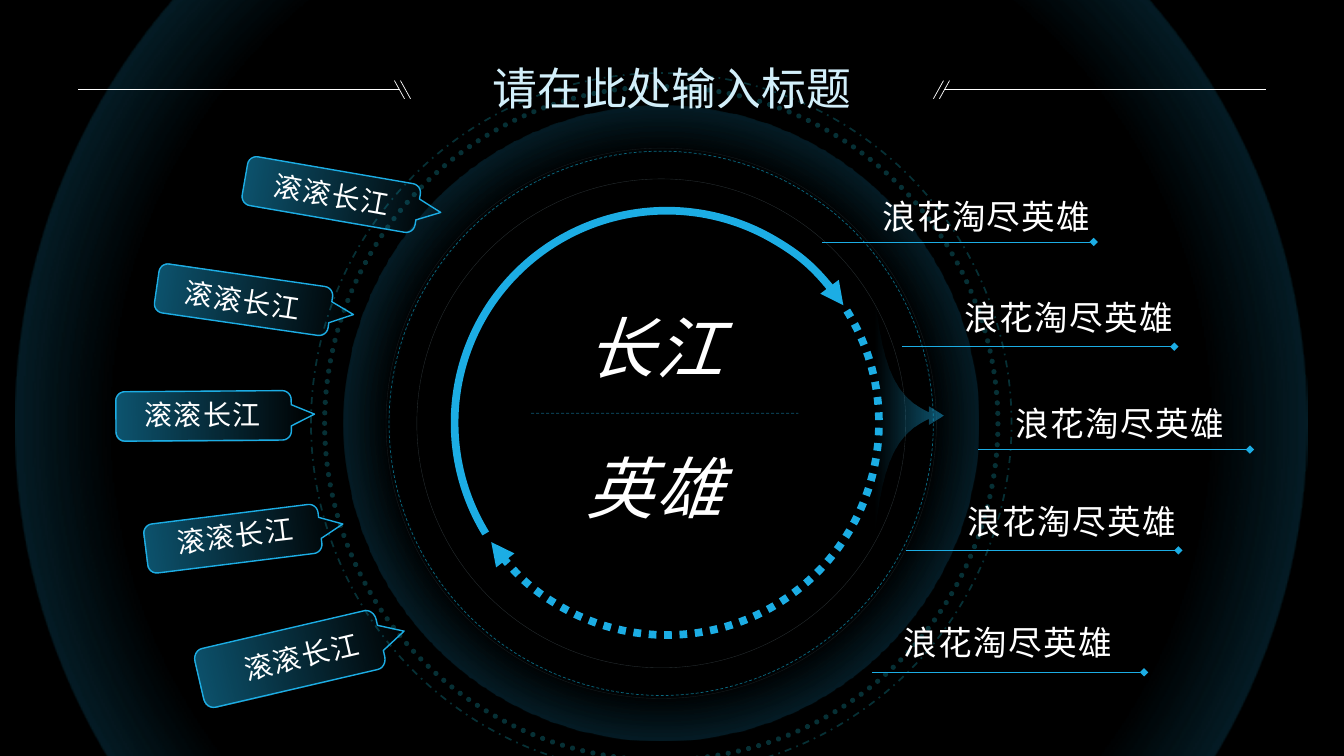
from math import cos, sin, pi
from lxml.etree import SubElement as Sub
from pptx import Presentation
from pptx.dml.color import RGBColor as RGB
from pptx.enum.dml import MSO_LINE as Dash
from pptx.enum.shapes import MSO_CONNECTOR as Link, MSO_SHAPE as Shape
from pptx.enum.text import MSO_ANCHOR as Anchor, MSO_AUTO_SIZE as Fit, PP_ALIGN as Align
from pptx.oxml import parse_xml
from pptx.oxml.ns import qn, nsdecls
from pptx.util import Inches, Pt

HUES = {"night": "000000", "white": "FFFFFF", "blue": "1CADE4", "teal": "1DDBF2",
        "pale": "C5EAF8", "cyan": "15D2FD", "ice": "D2EFFA"}
FONT = "Noto Sans CJK JP"
CELL = Inches(0.1)  # grid of 133.3 columns by 75 rows
COLS, ROWS = 133.33, 75

deck = Presentation()
deck.slide_width, deck.slide_height = int(COLS * CELL), ROWS * CELL
slide = deck.slides.add_slide(deck.slide_layouts[6])
slide.background.fill.solid()
slide.background.fill.fore_color.rgb = RGB.from_string(HUES["night"])
shapes = slide.shapes


def glow(shape, start, peak, way):
    """Fade blue in from clear at start % to an opacity of peak %."""
    shape.fill.background()
    shape.shadow.inherit = False
    stops = "".join(
        f'<a:gs pos="{pos * 1000}"><a:srgbClr val="{HUES["blue"]}">'
        f'<a:alpha val="{alpha * 1000}"/></a:srgbClr></a:gs>'
        for pos, alpha in ((start, 0), (100, peak)))
    fade = parse_xml(f'<a:gradFill {nsdecls("a")} rotWithShape="1">'
                     f'<a:gsLst>{stops}</a:gsLst>{way}</a:gradFill>')
    props = shape._element.spPr
    props.replace(props.find(qn("a:noFill")), fade)


def stroke(shape, hue, size, dash=None, alpha=100, end=None, tip="triangle"):
    """Style a line; end is headEnd or tailEnd."""
    line = shape.line
    line.color.rgb = RGB.from_string(HUES[hue])
    line.width = Pt(size)
    if dash:
        line.dash_style = dash
    props = shape._element.spPr
    ln = props.find(qn("a:ln"))
    if alpha < 100:
        Sub(ln.find(".//" + qn("a:srgbClr")), qn("a:alpha"), val=str(alpha * 1000))
    if end:
        Sub(ln, qn("a:" + end), type=tip)
    if props.find(qn("a:effectLst")) is None:
        Sub(props, qn("a:effectLst"))


# Glowing discs and rings around one centre
MID_X, MID_Y = 65.6, 42
RADIAL = ('<a:path path="circle"><a:fillToRect l="50000" t="50000" '
          'r="50000" b="50000"/></a:path>')
rings = [(128.2, None), (63, None),
         (66.8, ("teal", 3.75, Dash.ROUND_DOT, 22)),
         (69.5, ("teal", 1.25, Dash.DASH_DOT, 22)),
         (48.5, ("pale", 0.25, None, 20)),
         (54.6, ("pale", 0.25, None, 10)),
         (54, ("cyan", 0.5, Dash.DASH, 50))]
for size, style in rings:
    ring = shapes.add_shape(Shape.OVAL, int((MID_X - size / 2) * CELL),
                            int((MID_Y - size / 2) * CELL),
                            int(size * CELL), int(size * CELL))
    if style:
        ring.fill.background()
        stroke(ring, *style)
        if style[2] == Dash.ROUND_DOT:
            ring._element.spPr.find(qn("a:ln")).set("cap", "rnd")
    else:
        glow(ring, 60, 60, RADIAL)
        ring.line.fill.background()

# Left tags: a rounded body with a point on the right, tilted
WIDE, HIGH, BODY, CURVE = 19.7, 4.9, 17.4, 0.9
edge = []
corners = [(BODY - CURVE, HIGH - CURVE), (CURVE, HIGH - CURVE),
           (CURVE, CURVE), (BODY - CURVE, CURVE)]
for turn, (x, y) in enumerate(corners):
    for step in range(7):
        angle = (turn + step / 6) * pi / 2
        edge.append((x + CURVE * cos(angle), y + CURVE * sin(angle)))
edge += [(BODY, 1.4), (WIDE, 2.35), (BODY, 3.5)]
tags = [(34, 19.5, 9.8, 1, 1), (25.3, 29.9, 8.2, 1, 1), (21.35, 41.25, -0.4, 1, 1),
        (24.25, 53.3, -7.1, 1, 1), (29.95, 65.1, -13.1, 1.06, 1.22)]
for x, y, angle, wide, high in tags:
    left, top = x - WIDE * wide / 2, y - HIGH * high / 2
    pts = [((left + a * wide) * CELL, (top + b * high) * CELL) for a, b in edge]
    path = shapes.build_freeform(*pts[0])
    path.add_line_segments(pts[1:], close=True)
    tag = path.convert_to_shape()
    tag.rotation = angle
    glow(tag, 0, 50, '<a:lin ang="10800000" scaled="0"/>')
    stroke(tag, "blue", 1)

# Pointer on the right of the dial, mirrored about its axis
AXIS = 41.25
bend = [(86.5, 26.1), (87.3, 33.8), (87.8, 38.6), (91.5, 40.6)]
half = []
for step in range(13):
    t = step / 12
    parts = ((1 - t) ** 3, 3 * t * (1 - t) ** 2, 3 * t * t * (1 - t), t ** 3)
    half.append(tuple(sum(p * knot[i] for p, knot in zip(parts, bend)) for i in (0, 1)))
half += [(92.1, 40.9), (92.1, 40.3)]
full = half + [(93.6, AXIS)] + [(x, 2 * AXIS - y) for x, y in reversed(half)]
pts = [(x * CELL, y * CELL) for x, y in full]
path = shapes.build_freeform(*pts[0])
path.add_line_segments(pts[1:], close=True)
point = path.convert_to_shape()
glow(point, 5, 50, '<a:lin ang="0" scaled="0"/>')
point.line.fill.background()

# Straight lines: header wings, underlines, dial divider
lines = []
for x1, y1, x2, y2 in [(93.7, 8.9, 125.6, 8.9), (93.2, 9.8, 94.2, 8), (92.6, 9.8, 93.6, 8)]:
    lines += [(x1, y1, x2, y2, ("white", 0.5)),
              (COLS - x1, y1, COLS - x2, y2, ("white", 0.5))]
for x, y in [(108.5, 24), (116.5, 34.4), (124, 44.6), (116.9, 54.6), (113.5, 66.7)]:
    lines.append((x, y, x - 27, y, ("blue", 0.5, None, 100, "headEnd", "diamond")))
lines.append((52.7, 41, 79.2, 41, ("blue", 0.5, Dash.DASH, 51)))
for *ends, style in lines:
    line = shapes.add_connector(Link.STRAIGHT, *(int(v * CELL) for v in ends))
    stroke(line, *style)

# Dial arcs
for start, stop, dash in [(89.143, 195.802, None), (196.833, 87.489, Dash.ROUND_DOT)]:
    arc = shapes.add_shape(Shape.ARC, int(45.1 * CELL), int(20.9 * CELL),
                           int(42.1 * CELL), int(42.1 * CELL))
    arc.adjustments[0], arc.adjustments[1] = start, stop
    arc.fill.background()
    stroke(arc, "blue", 5.5, dash, 100, "tailEnd")

# Texts: wording, box, size, tilt, inset
texts = [("请在此处输入标题", 41.2, 6, 50.9, 5.4, 32, 0, 0),
         ("长江", 58.2, 30.3, 13.5, 8.1, 48, 0, 0),
         ("英雄", 58.2, 44.2, 13.5, 8.1, 48, 0, 0)]
for x, y, angle in [(26.1, 17.1, 10.2), (17.3, 27.6, 8.6), (13.3, 38.9, 0),
                    (16.5, 50.9, -6.7), (23.1, 62.9, -13.2)]:
    texts.append(("滚滚长江", x, y, 13.6, 4.4, 20, angle, 1))
for x, y in [(86.5, 18.9), (94.7, 29), (99.7, 39.5), (95, 49.2), (88.6, 61.2)]:
    texts.append(("浪花淘尽英雄", x, y, 22.7, 5, 24, 0, 1))
for words, x, y, wide, high, size, angle, inset in texts:
    title = size == 32
    box = shapes.add_textbox(*(int(v * CELL) for v in (x, y, wide, high)))
    box.rotation = angle
    frame = box.text_frame
    frame.word_wrap = title
    frame.auto_size = Fit.NONE if title else Fit.SHAPE_TO_FIT_TEXT
    frame.vertical_anchor = Anchor.MIDDLE
    if not inset:
        frame.margin_left = frame.margin_right = frame.margin_top = frame.margin_bottom = 0
    para = frame.paragraphs[0]
    para.alignment = Align.CENTER
    run = para.add_run()
    run.text = words
    font = para.font
    font.size, font.name, font.italic = Pt(size), FONT, size == 48
    font.color.rgb = RGB.from_string(HUES["ice" if title else "white"])
    Sub(font._element, qn("a:ea"), typeface=FONT)
    if not title:
        run._r.get_or_add_rPr().set("spc", "100")

deck.save("out.pptx")
